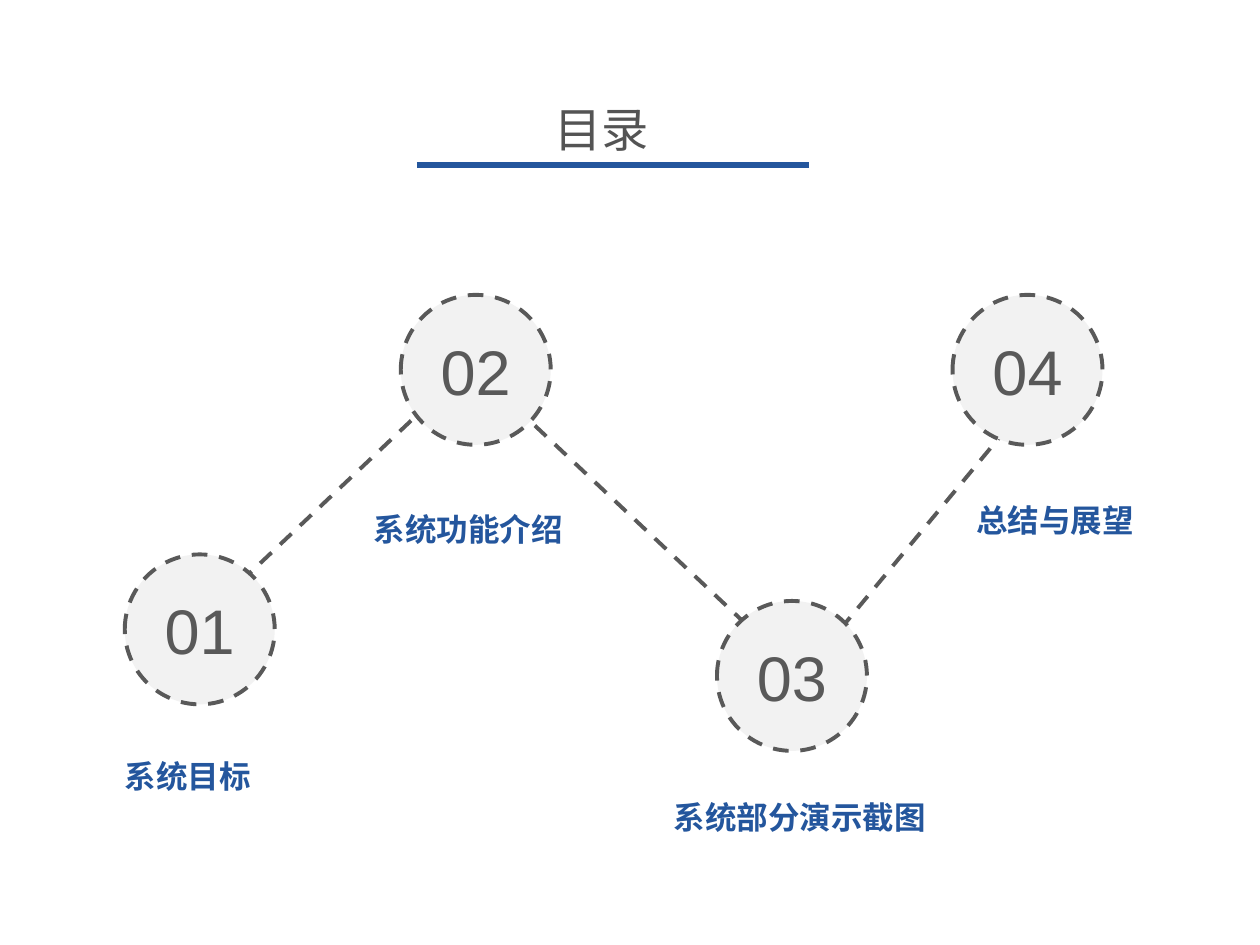
from typing import NamedTuple, Optional

from pptx import Presentation
from pptx.dml.color import RGBColor
from pptx.enum.dml import MSO_LINE_DASH_STYLE as DASH
from pptx.enum.shapes import MSO_CONNECTOR as CONN, MSO_SHAPE as SHAPE
from pptx.enum.text import MSO_ANCHOR as ANCHOR, MSO_AUTO_SIZE as AUTO, PP_ALIGN as ALIGN
from pptx.oxml.ns import qn
from pptx.util import Pt

BLUE = RGBColor(0x24, 0x56, 0x9D)
GRAY = RGBColor(0x59, 0x59, 0x59)
TITLE_GRAY = RGBColor(0x54, 0x54, 0x54)
PALE = RGBColor(0xF2, 0xF2, 0xF2)
DIAMETER = 85.7
INSET = 7.2


class Topic(NamedTuple):
    x: float
    y: float
    label: str
    label_x: float
    label_y: float


class Link(NamedTuple):
    x1: float
    y1: float
    x2: float
    y2: float


TOPICS = [
    Topic(71.3, 316.8, "系统目标", 64.1, 429.1),
    Topic(229, 168.5, "系统功能介绍", 206.6, 288),
    Topic(409.7, 343.4, "系统部分演示截图", 378, 452.2),
    Topic(544.3, 168.5, "总结与展望", 550.8, 283),
]
LINKS = [
    Link(114.5, 354.2, 271.4, 205.9),
    Link(271.4, 211, 429.1, 359.3),
    Link(460.1, 383.8, 603.4, 211),
]
TITLE_RULE = Link(238.3, 94.3, 462.2, 94.3)


def set_text(tf, text: str, size: float, font: str, color: RGBColor,
             bold: Optional[bool] = None) -> None:
    tf.text = text
    r = tf.paragraphs[0].runs[0]
    r.font.size, r.font.name, r.font.bold = Pt(size), font, bold
    r.font.color.rgb = color
    ea = r.font._element.makeelement(qn("a:ea"), {"typeface": font})
    r.font._element.find(qn("a:latin")).addnext(ea)


def add_label(s, x: float, y: float, h: float, text: str, size: float,
              font: str, color: RGBColor, bold: Optional[bool] = None) -> None:
    width = size * len(text) + 2 * INSET
    tf = s.shapes.add_textbox(Pt(x), Pt(y), Pt(width), Pt(h)).text_frame
    tf.word_wrap = False
    tf.auto_size = AUTO.SHAPE_TO_FIT_TEXT
    set_text(tf, text, size, font, color, bold)


def add_line(s, link: Link, color: RGBColor, width: float, dash=None) -> None:
    c = s.shapes.add_connector(CONN.STRAIGHT, *map(Pt, link))
    c.line.color.rgb = color
    c.line.width = Pt(width)
    c.line.dash_style = dash
    sp_pr = c._element.spPr
    sp_pr.append(sp_pr.makeelement(qn("a:effectLst"), {}))


def add_circle(s, topic: Topic, number: int) -> None:
    sp = s.shapes.add_shape(SHAPE.OVAL, Pt(topic.x), Pt(topic.y), Pt(DIAMETER), Pt(DIAMETER))
    sp.shadow.inherit = False
    sp.fill.solid()
    sp.fill.fore_color.rgb = PALE
    sp.line.color.rgb = GRAY
    sp.line.width = Pt(2.25)
    sp.line.dash_style = DASH.DASH
    tf = sp.text_frame
    tf.vertical_anchor = ANCHOR.MIDDLE
    set_text(tf, f"{number:02d}", 36, "Arial", GRAY)
    tf.paragraphs[0].alignment = ALIGN.CENTER


def main() -> None:
    """Build the contents slide with four linked topics."""
    prs = Presentation()
    prs.slide_width, prs.slide_height = Pt(720), Pt(540)
    s = prs.slides.add_slide(prs.slide_layouts[6])
    add_label(s, 309.6, 54, 39.6, "目录", 27, "Noto Sans CJK SC", TITLE_GRAY)
    add_line(s, TITLE_RULE, BLUE, 3.5)
    for link in LINKS:
        add_line(s, link, GRAY, 2.25, DASH.DASH)
    for number, topic in enumerate(TOPICS, 1):
        add_circle(s, topic, number)
    for topic in TOPICS:
        add_label(s, topic.label_x, topic.label_y, 28.8, topic.label, 18,
                  "DejaVu Sans", BLUE, True)
    prs.save("out.pptx")


if __name__ == "__main__":
    main()
